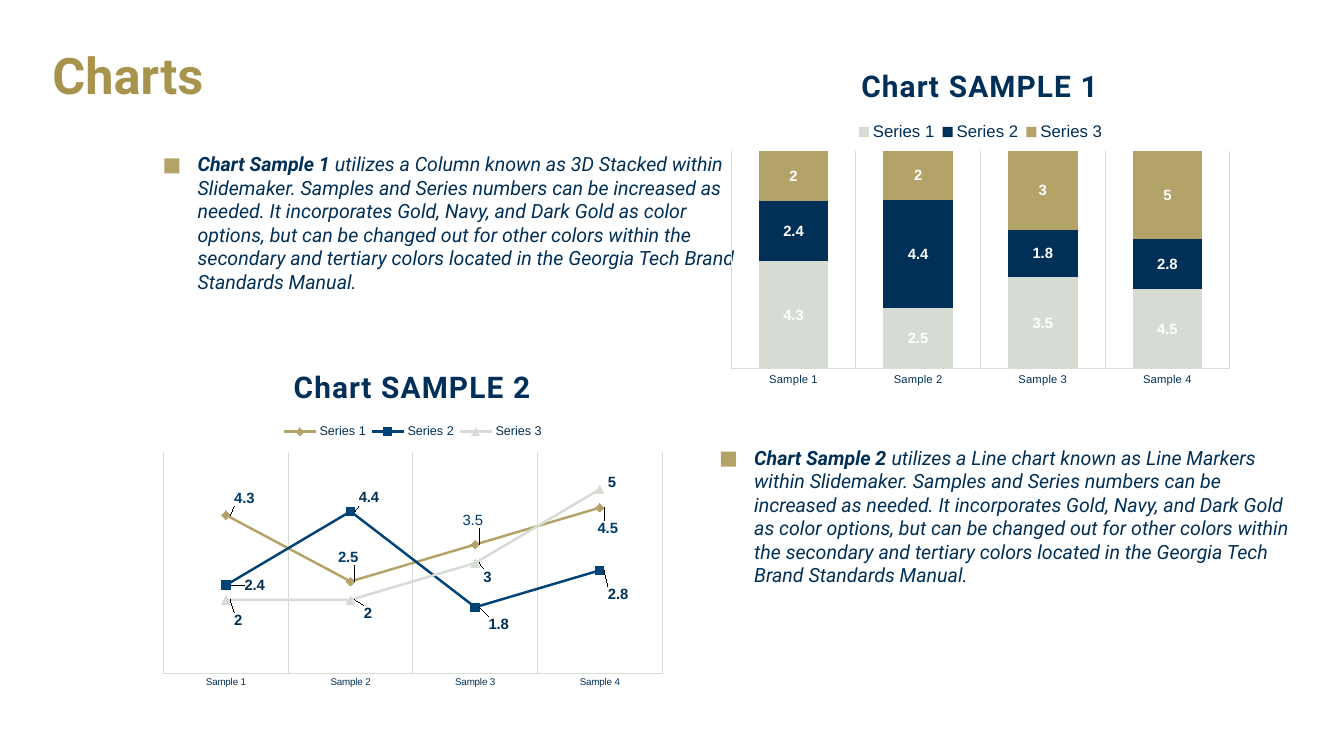
from dataclasses import dataclass

from lxml.etree import SubElement
from pptx import Presentation
from pptx.chart.data import CategoryChartData
from pptx.dml.color import RGBColor
from pptx.enum.chart import XL_CHART_TYPE as ChartType
from pptx.enum.chart import XL_LABEL_POSITION as LabelPosition
from pptx.enum.chart import XL_LEGEND_POSITION as LegendPosition
from pptx.enum.chart import XL_MARKER_STYLE as Marker
from pptx.enum.chart import XL_TICK_LABEL_POSITION as TickLabels
from pptx.enum.chart import XL_TICK_MARK as TickMark
from pptx.enum.shapes import MSO_SHAPE as Shape
from pptx.enum.text import MSO_ANCHOR as Anchor
from pptx.enum.text import MSO_AUTO_SIZE as AutoSize
from pptx.enum.text import PP_ALIGN as Align
from pptx.oxml.ns import qn
from pptx.util import Inches, Pt

COLORS = {
    "title": "A7934B", "navy": "003057", "gold": "B3A369", "silver": "D6DBD4",
    "blue": "004376", "label": "003C6C", "white": "FFFFFF",
}
CATEGORIES = [f"Sample {number}" for number in range(1, 5)]
VALUES = {
    "Series 1": (4.3, 2.5, 3.5, 4.5),
    "Series 2": (2.4, 4.4, 1.8, 2.8),
    "Series 3": (2, 2, 3, 5),
}
MARKERS = (Marker.DIAMOND, Marker.SQUARE, Marker.TRIANGLE)
LABEL_OFFSETS = (
    ((0, -0.05), (-0.04, -0.07), (-0.04, -0.07), (-0.02, 0.06)),
    ((0.02, 0), (0, -0.04), (0.01, 0.05), (0, 0.07)),
    ((0, 0.06), (0.01, 0.04), (0, 0.04), (0, -0.02)),
)
LEADER_URI = "{CE6537A1-D6FC-4f65-9D91-7224C49458BB}"
LEADER_NAMESPACE = "http://schemas.microsoft.com/office/drawing/2012/chart"
TAIL = (
    " known as {kind} within Slidemaker. Samples and Series numbers can be "
    "increased as needed. It incorporates Gold, Navy, and Dark Gold as color "
    "options, but can be changed out for other colors within the secondary and "
    "tertiary colors located in the Georgia Tech Brand Standards Manual."
)


@dataclass
class ChartSpec:
    title: str
    kind: ChartType
    left: float
    top: float
    colors: tuple[str, ...]
    label_colors: tuple[str, ...]
    axis_size: float
    legend_size: float
    legend_box: tuple[float, ...]
    plot_box: tuple[float, ...]


@dataclass
class Note:
    lead: str
    text: str
    left: float
    top: float


CHARTS = (
    ChartSpec("Chart SAMPLE 1", ChartType.COLUMN_STACKED_100, 7.15, 0.47,
              ("silver", "navy", "gold"), ("white",) * 3, 8, 12,
              (0.25, 0.21, 0.5, 0.07), (0.02, 0.3, 0.96, 0.63)),
    ChartSpec("Chart SAMPLE 2", ChartType.LINE_MARKERS, 1.52, 3.46,
              ("gold", "blue", "silver"), ("label", "navy", "navy"), 7, 9,
              (0.24, 0.21, 0.52, 0.06), (0.02, 0.3, 0.96, 0.64)),
)
NOTES = (
    Note("Chart Sample 1 ", "utilizes a Column" + TAIL.format(kind="3D Stacked"), 1.86, 1.46),
    Note("Chart Sample 2 ", "utilizes a Line chart" + TAIL.format(kind="Line Markers"), 7.38, 4.37),
)


def color(name: str) -> RGBColor:
    return RGBColor.from_string(COLORS[name])


def style_font(font, *, name="Arial", size=None, tint="navy", bold=False, italic=False) -> None:
    font.name = name
    if size:
        font.size = Pt(size)
    font.color.rgb = color(tint)
    font.bold = bold
    font.italic = italic


def add_text(para, text: str, *, spacing=0, **style) -> None:
    span = para.add_run()
    span.text = text
    style_font(span.font, **style)
    if spacing:
        span.font._element.set("spc", str(spacing))


def place(item, left: float, top: float, width: float, height: float) -> None:
    item.left, item.top = Inches(left), Inches(top)
    item.width, item.height = Inches(width), Inches(height)


def set_layout(element, after="", inner=False, absolute=True, **box: float) -> None:
    for old in element.findall(qn("c:layout")):
        element.remove(old)
    layout = SubElement(element, qn("c:layout"))
    manual = SubElement(layout, qn("c:manualLayout"))
    if inner:
        SubElement(manual, qn("c:layoutTarget")).set("val", "inner")
    if absolute:
        for mode in ("xMode", "yMode"):
            SubElement(manual, qn(f"c:{mode}")).set("val", "edge")
    for side, value in box.items():
        SubElement(manual, qn(f"c:{side}")).set("val", str(value))
    if after:
        element.find(qn(f"c:{after}")).addnext(layout)
    else:
        element.insert(0, layout)


def hide_leader_lines(labels) -> None:
    extensions = SubElement(labels._element, qn("c:extLst"))
    extension = SubElement(extensions, qn("c:ext"), nsmap={"c15": LEADER_NAMESPACE})
    extension.set("uri", LEADER_URI)
    SubElement(extension, f"{{{LEADER_NAMESPACE}}}showLeaderLines").set("val", "0")


def style_line_series(series, tint: str, label_tint: str, marker: Marker, offsets) -> None:
    series.smooth = False
    series.format.line.color.rgb = color(tint)
    series.format.line.width = Pt(1.75)
    series.marker.style = marker
    series.marker.size = 6
    series.marker.format.fill.solid()
    series.marker.format.fill.fore_color.rgb = color(tint)
    series.marker.format.line.color.rgb = color(tint)
    for index, (x, y) in enumerate(offsets):
        label = series.points[index].data_label
        if series.name == "Series 1" and index == 2:
            add_text(label.text_frame.paragraphs[0], "3.5", size=10.6, tint=label_tint)
        else:
            style_font(label.font, size=10.6, tint=label_tint, bold=True)
        label.position = LabelPosition.RIGHT
        element = series.data_labels._element.findall(qn("c:dLbl"))[index]
        set_layout(element, "idx", absolute=False, x=x, y=y)
    hide_leader_lines(series.data_labels)


def add_chart(page, spec: ChartSpec) -> None:
    data = CategoryChartData()
    data.categories = CATEGORIES
    for name, values in VALUES.items():
        data.add_series(name, values)
    chart = page.shapes.add_chart(spec.kind, Inches(spec.left), Inches(spec.top),
                                  Inches(5.15), Inches(3.43), data).chart
    style_font(chart.font, size=10)
    para = chart.chart_title.text_frame.paragraphs[0]
    add_text(para, spec.title, name="Roboto", size=21.3, bold=True, spacing=100)
    set_layout(chart.chart_title._element, "tx", x=0.26, y=0.04)
    chart.has_legend = True
    chart.legend.position = LegendPosition.TOP
    chart.legend.include_in_layout = False
    style_font(chart.legend.font, size=spec.legend_size)
    set_layout(chart.legend._element, "legendPos", **dict(zip("xywh", spec.legend_box)))
    plot_area = chart._chartSpace.chart.plotArea
    set_layout(plot_area, inner=True, **dict(zip("xywh", spec.plot_box)))

    axis = chart.category_axis
    axis.major_tick_mark = axis.minor_tick_mark = TickMark.NONE
    axis.tick_label_position = TickLabels.NEXT_TO_AXIS
    axis.tick_labels.offset = 0
    axis.has_major_gridlines = True
    style_font(axis.tick_labels.font, size=spec.axis_size)
    for line in (axis.format.line, axis.major_gridlines.format.line):
        line.color.rgb = color("silver")
        line.width = Pt(0.75)
    chart.value_axis.has_major_gridlines = False
    chart.value_axis.visible = False

    plot = chart.plots[0]
    plot.vary_by_categories = False
    stacked = spec.kind == ChartType.COLUMN_STACKED_100
    if stacked:
        plot.gap_width, plot.overlap = 79, 100
    for index, series in enumerate(plot.series):
        tint, label_tint = spec.colors[index], spec.label_colors[index]
        series.data_labels.show_value = True
        style_font(series.data_labels.font, size=10.6, tint=label_tint, bold=True)
        if stacked:
            series.format.fill.solid()
            series.format.fill.fore_color.rgb = color(tint)
        else:
            style_line_series(series, tint, label_tint, MARKERS[index], LABEL_OFFSETS[index])


def add_note(page, box, note: Note) -> None:
    place(box, note.left, note.top, 5.59, 1.51)
    box.text_frame.auto_size = AutoSize.NONE
    box.text_frame.vertical_anchor = Anchor.TOP
    para = box.text_frame.paragraphs[0]
    para.space_before = Pt(0)
    properties = para._p.get_or_add_pPr()
    properties.set("marL", "0")
    properties.set("indent", "0")
    SubElement(properties, qn("a:buNone"))
    add_text(para, note.lead, name="Roboto", size=14, bold=True, italic=True)
    add_text(para, note.text, name="Roboto", size=14, italic=True)
    square = page.shapes.add_shape(Shape.RECTANGLE, Inches(note.left - 0.23),
                                   Inches(note.top + 0.11), Inches(0.15), Inches(0.15))
    square.shadow.inherit = False
    square.fill.solid()
    square.fill.fore_color.rgb = color("gold")
    square.line.fill.background()


def main() -> None:
    deck = Presentation()
    deck.slide_width, deck.slide_height = Inches(13.33), Inches(7.5)
    page = deck.slides.add_slide(deck.slide_layouts[3])
    title = page.shapes.title
    place(title, 0.42, 0.22, 12.5, 1.11)
    title.text_frame.vertical_anchor = Anchor.MIDDLE
    para = title.text_frame.paragraphs[0]
    para.alignment = Align.LEFT
    para.line_spacing = 0.9
    add_text(para, "Charts", name="Roboto", size=36, tint="title", bold=True)
    for spec, note, index in zip(CHARTS, NOTES, (1, 2)):
        add_chart(page, spec)
        add_note(page, page.placeholders[index], note)
    deck.save("out.pptx")


if __name__ == "__main__":
    main()
